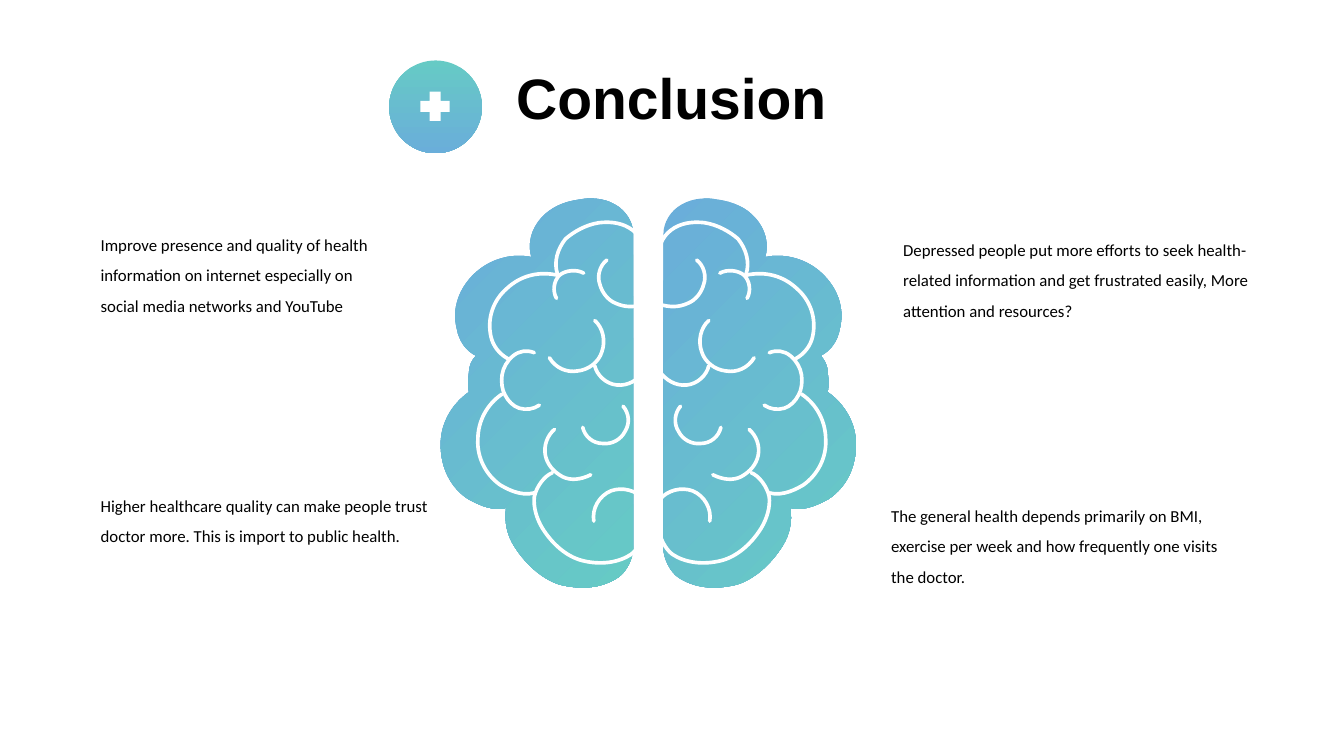
from dataclasses import dataclass

from lxml.etree import Element, SubElement
from pptx import Presentation
from pptx.dml.color import RGBColor
from pptx.dml.fill import FillFormat
from pptx.enum.shapes import MSO_SHAPE as Preset
from pptx.enum.text import MSO_ANCHOR, MSO_AUTO_SIZE as AutoSize, PP_ALIGN
from pptx.oxml.ns import qn
from pptx.shapes.autoshape import Shape
from pptx.shapes.shapetree import GroupShapes
from pptx.slide import Slide
from pptx.text.text import TextFrame
from pptx.util import Inches, Pt

BLACK = RGBColor(0x00, 0x00, 0x00)
WHITE = RGBColor(0xFF, 0xFF, 0xFF)
TEAL = RGBColor(0x66, 0xCA, 0xC5)
BLUE = RGBColor(0x6A, 0xAE, 0xDA)

TITLE_FONT = {"name": "Arial", "size": Pt(40.7), "bold": True}
NOTE_FONT = {"name": "Calibri", "size": Pt(12), "bold": False}

# The left half mirrors the right one: left x = sum - right x
OUTLINE_SUM = 12.86
FOLD_SUM = 12.93

Point = tuple[int, int]


@dataclass(frozen=True)
class Note:
    left: float
    top: float
    width: float
    height: float
    text: str


NOTES = [
    Note(8.86, 2.23, 3.8, 0.97,
         "Depressed people put more efforts to seek health-related information "
         "and get frustrated easily, More attention and resources?"),
    Note(0.9, 2.18, 3.03, 1.28,
         "Improve presence and quality of health information on internet "
         "especially on social media networks and YouTube"),
    Note(8.74, 4.87, 3.53, 0.97,
         "The general health depends primarily on BMI, exercise per week "
         "and how frequently one visits the doctor."),
    Note(0.9, 4.77, 3.48, 0.97,
         "Higher healthcare quality can make people trust doctor more. "
         "This is import to public health."),
]

# Bezier chains of the right half: a start point, then three points a curve
OUTLINE = """6.58 2.32  6.58 2.21 6.65 2.09 6.76 2.03  6.88 1.96 7.02 1.96 7.11 1.98
    7.27 2 7.4 2.06 7.49 2.16  7.59 2.27 7.63 2.42 7.59 2.55
    7.79 2.51 8 2.57 8.15 2.71  8.31 2.86 8.38 3.06 8.33 3.26
    8.31 3.38 8.24 3.48 8.14 3.53  8.18 3.57 8.21 3.63 8.21 3.7
    8.22 3.77 8.22 3.83 8.21 3.89  8.38 4.01 8.49 4.2 8.49 4.41
    8.49 4.63 8.4 4.83 8.22 4.95  8.18 4.97 8.05 5.05 7.92 5.05
    7.89 5.05 7.87 5.05 7.84 5.04  7.86 5.18 7.83 5.31 7.76 5.42
    7.64 5.61 7.47 5.75 7.31 5.8  7.23 5.82 7.15 5.83 7.08 5.83
    6.94 5.83 6.82 5.79 6.73 5.73  6.64 5.67 6.58 5.53 6.58 5.44"""

FOLDS = [
    # Ring of lobes, from the top down
    """6.54 2.51  6.54 2.41 6.59 2.32 6.69 2.26  6.79 2.2 6.91 2.2 6.99 2.21
    7.12 2.23 7.24 2.3 7.32 2.37  7.4 2.47 7.44 2.6 7.4 2.72""",
    """7.4 2.73  7.58 2.69 7.76 2.73 7.9 2.86  8.04 2.98 8.1 3.16 8.06 3.34
    8.04 3.43 7.98 3.51 7.89 3.56""",
    """7.63 3.5  7.7 3.47 7.78 3.48 7.84 3.53  7.9 3.58 7.94 3.65 7.95 3.72
    7.96 3.79 7.95 3.87 7.92 3.92  7.89 3.98 7.84 4.03 7.78 4.05
    7.71 4.07 7.64 4.06 7.58 4.02""",
    """7.95 3.91  8.1 4.01 8.19 4.18 8.19 4.36  8.2 4.54 8.11 4.71 7.97 4.81
    7.92 4.84 7.77 4.93 7.63 4.89""",
    """7.45 4.69  7.53 4.72 7.61 4.83 7.63 4.93  7.64 5.03 7.61 5.14 7.55 5.24
    7.45 5.4 7.31 5.52 7.16 5.56  6.97 5.61 6.79 5.58 6.67 5.5
    6.6 5.45 6.54 5.33 6.54 5.26""",
    # Inner folds
    """7.07 4.71  7.17 4.76 7.27 4.77 7.35 4.73  7.44 4.68 7.5 4.61 7.52 4.52
    7.54 4.42 7.5 4.32 7.43 4.26""",
    "6.54 4.96  6.62 4.86 6.76 4.83 6.87 4.87  6.99 4.92 7.06 5.05 7.04 5.17",
    "6.54 3.68  6.6 3.77 6.7 3.83 6.81 3.82  6.92 3.81 7.01 3.72 7.03 3.63",
    """7.48 3.55  7.42 3.65 7.31 3.7 7.2 3.68  7.09 3.67 6.99 3.59 6.96 3.49
    6.92 3.38 6.95 3.25 7.03 3.18""",
    """6.91 2.58  6.98 2.63 7.01 2.74 6.98 2.82  6.96 2.9 6.9 2.98 6.82 3.01
    6.73 3.05 6.65 3.05 6.54 3.02""",
    "7.14 2.71  7.21 2.67 7.32 2.68 7.38 2.73  7.44 2.79 7.45 2.89 7.41 2.96",
]
CENTRE_FOLD = ["""7.15 4.24  7.13 4.33 7.05 4.4 6.95 4.4
    6.86 4.41 6.77 4.36 6.73 4.28  6.68 4.2 6.69 4.1 6.75 4.03"""]


def read_knots(chain: str, mirror_sum: float | None) -> list[Point]:
    """Read the points of a Bezier chain, mirrored if a sum is given."""
    numbers = [float(number) for number in chain.split()]
    return [(Inches(x if mirror_sum is None else mirror_sum - x), Inches(y))
            for x, y in zip(numbers[::2], numbers[1::2])]


def bend_lines(shape: Shape) -> None:
    """Join every three line segments into one cubic curve."""
    for outline in shape.element.spPr.iter(qn("a:path")):
        lines = outline.findall(qn("a:lnTo"))
        for first in range(0, len(lines), 3):
            curve = Element(qn("a:cubicBezTo"))
            lines[first].addprevious(curve)
            for line in lines[first:first + 3]:
                curve.append(line[0])
                outline.remove(line)


def draw_chains(shapes: GroupShapes, chains: list[str],
                mirror_sum: float | None, close: bool) -> Shape:
    contours = [read_knots(chain, mirror_sum) for chain in chains]
    builder = shapes.build_freeform(*contours[0][0])
    for index, contour in enumerate(contours):
        if index:
            builder.move_to(*contour[0])
        builder.add_line_segments(contour[1:], close=close)
    shape = builder.convert_to_shape()
    bend_lines(shape)
    shape.shadow.inherit = False
    return shape


def apply_gradient(fill: FillFormat) -> None:
    fill.gradient()
    fill.gradient_angle = 270
    for stop, colour in zip(fill.gradient_stops, (TEAL, BLUE)):
        stop.color.rgb = colour


def draw_half(shapes: GroupShapes, mirror_sum: float | None) -> None:
    half = draw_chains(shapes, [OUTLINE], mirror_sum, close=True)
    half.line.fill.background()
    apply_gradient(half.fill)
    # Radial gradient that starts in the lower right corner
    gradient = half.element.spPr.find(qn("a:gradFill"))
    gradient.remove(gradient.find(qn("a:lin")))
    radial = SubElement(gradient, qn("a:path"), {"path": "circle"})
    SubElement(radial, qn("a:fillToRect"), {"l": "100000", "t": "100000"})


def draw_folds(shapes: GroupShapes, mirror_sum: float | None) -> None:
    for chains in (FOLDS, CENTRE_FOLD):
        folds = draw_chains(shapes, chains, mirror_sum, close=False)
        folds.fill.background()
        folds.line.color.rgb = WHITE
        folds.line.width = Pt(2.6)
        folds.element.spPr.find(qn("a:ln")).set("cap", "rnd")


def draw_badge(slide: Slide) -> None:
    shapes = slide.shapes.add_group_shape().shapes
    disc = shapes.add_shape(Preset.OVAL, *map(Inches, (3.86, 0.6, 0.92, 0.92)))
    apply_gradient(disc.fill)
    plus = shapes.add_shape(Preset.CROSS, *map(Inches, (4.17, 0.91, 0.29, 0.29)))
    plus.adjustments[0] = 0.31
    plus.fill.solid()
    plus.fill.fore_color.rgb = WHITE
    for shape in (disc, plus):
        shape.line.fill.background()
        shape.shadow.inherit = False


def write(frame: TextFrame, text: str, font: dict, spacing: float) -> None:
    frame.word_wrap = True
    para = frame.paragraphs[0]
    para.alignment = PP_ALIGN.LEFT
    para.line_spacing = spacing
    span = para.add_run()
    span.text = text
    for name, value in font.items():
        setattr(span.font, name, value)
    span.font.color.rgb = BLACK


def main() -> None:
    deck = Presentation()
    deck.slide_width, deck.slide_height = Inches(13.33), Inches(7.5)
    page = deck.slides.add_slide(deck.slide_layouts[5])

    # Brain
    brain = page.shapes.add_group_shape().shapes
    for mirror_sum in (None, OUTLINE_SUM):
        draw_half(brain, mirror_sum)
    for mirror_sum in (FOLD_SUM, None):
        draw_folds(brain, mirror_sum)

    # Title and badge
    title = page.shapes.title
    title.left, title.top, title.width, title.height = map(Inches, (5.02, 0.6, 3.53, 0.84))
    title.text_frame.auto_size = AutoSize.NONE
    title.text_frame.vertical_anchor = MSO_ANCHOR.MIDDLE
    write(title.text_frame, "Conclusion", TITLE_FONT, 0.8)
    draw_badge(page)

    # Notes
    for note in NOTES:
        box = page.shapes.add_textbox(
            *map(Inches, (note.left, note.top, note.width, note.height)))
        write(box.text_frame, note.text, NOTE_FONT, 1.5)
        box.text_frame.auto_size = AutoSize.SHAPE_TO_FIT_TEXT

    deck.save("out.pptx")


if __name__ == "__main__":
    main()
